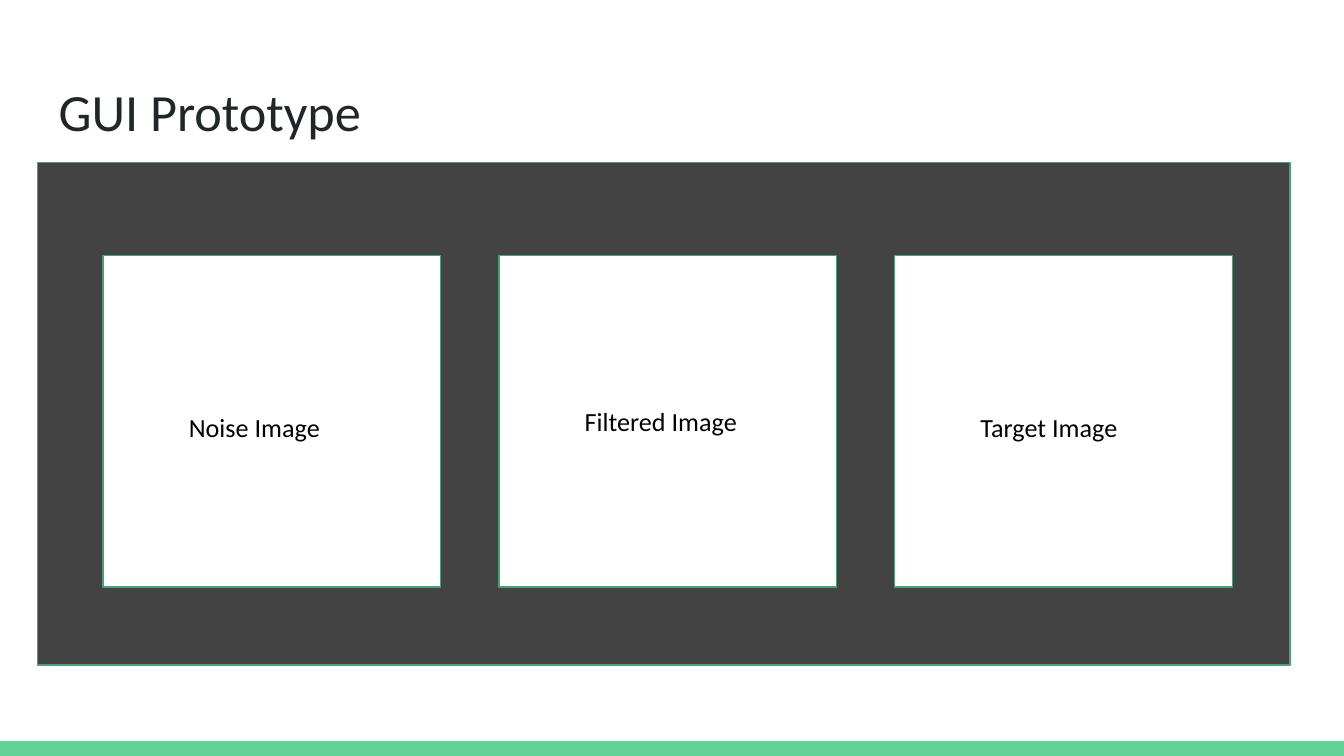
"""Build the GUI prototype slide with three image frames."""
from dataclasses import dataclass

from pptx import Presentation
from pptx.dml.color import RGBColor as Rgb
from pptx.enum.shapes import MSO_SHAPE as Preset
from pptx.slide import Slide
from pptx.util import Cm, Pt

COLORS = {
    "accent": "63D297",
    "border": "4BA173",
    "panel": "434343",
    "frame": "FFFFFF",
    "title": "202729",
    "label": "000000",
}
FONT = "Calibri"
PAGE_WIDTH, PAGE_HEIGHT = 25.4, 14.29
BAR_HEIGHT = 0.28
FRAME_LEFT, FRAME_TOP, FRAME_PITCH = 1.95, 4.83, 7.48
FRAME_WIDTH, FRAME_HEIGHT = 6.38, 6.27
LABEL_INDENT, LABEL_HEIGHT = 1.37, 0.84


@dataclass(frozen=True)
class Area:
    left: float
    top: float
    width: float
    height: float

    def lengths(self) -> tuple[Cm, Cm, Cm, Cm]:
        return Cm(self.left), Cm(self.top), Cm(self.width), Cm(self.height)


@dataclass(frozen=True)
class Frame:
    label: str
    label_top: float
    label_width: float


FRAMES = (
    Frame("Noise Image", 7.52, 3.3),
    Frame("Filtered Image", 7.42, 3.83),
    Frame("Target Image", 7.52, 3.58),
)


def add_rectangle(page: Slide, area: Area, fill: str, border: str | None = None) -> None:
    box = page.shapes.add_shape(Preset.RECTANGLE, *area.lengths())
    box.shadow.inherit = False
    box.fill.solid()
    box.fill.fore_color.rgb = Rgb.from_string(COLORS[fill])
    if border:
        box.line.color.rgb = Rgb.from_string(COLORS[border])
        box.line.width = Pt(0.75)
    else:
        box.line.fill.background()


def add_text(page: Slide, area: Area, text: str, size: int, color: str) -> None:
    frame = page.shapes.add_textbox(*area.lengths()).text_frame
    frame.word_wrap = True
    frame.margin_left = frame.margin_right = Cm(0.25)
    frame.margin_top = frame.margin_bottom = Cm(0.25)
    frame.text = text
    font = frame.paragraphs[0].runs[0].font
    font.name = FONT
    font.size = Pt(size)
    font.color.rgb = Rgb.from_string(COLORS[color])


def main() -> None:
    deck = Presentation()
    deck.slide_width, deck.slide_height = Cm(PAGE_WIDTH), Cm(PAGE_HEIGHT)
    page = deck.slides.add_slide(deck.slide_layouts[6])

    add_rectangle(page, Area(0, PAGE_HEIGHT - BAR_HEIGHT, PAGE_WIDTH, BAR_HEIGHT), "accent")
    add_text(page, Area(0.86, 1.24, 23.67, 1.6), "GUI Prototype", 28, "title")
    add_rectangle(page, Area(0.71, 3.07, 23.67, 9.5), "panel", "border")

    for index, frame in enumerate(FRAMES):
        left = FRAME_LEFT + index * FRAME_PITCH
        add_rectangle(page, Area(left, FRAME_TOP, FRAME_WIDTH, FRAME_HEIGHT), "frame", "border")
        label_area = Area(left + LABEL_INDENT, frame.label_top, frame.label_width, LABEL_HEIGHT)
        add_text(page, label_area, frame.label, 14, "label")

    deck.save("out.pptx")


if __name__ == "__main__":
    main()
